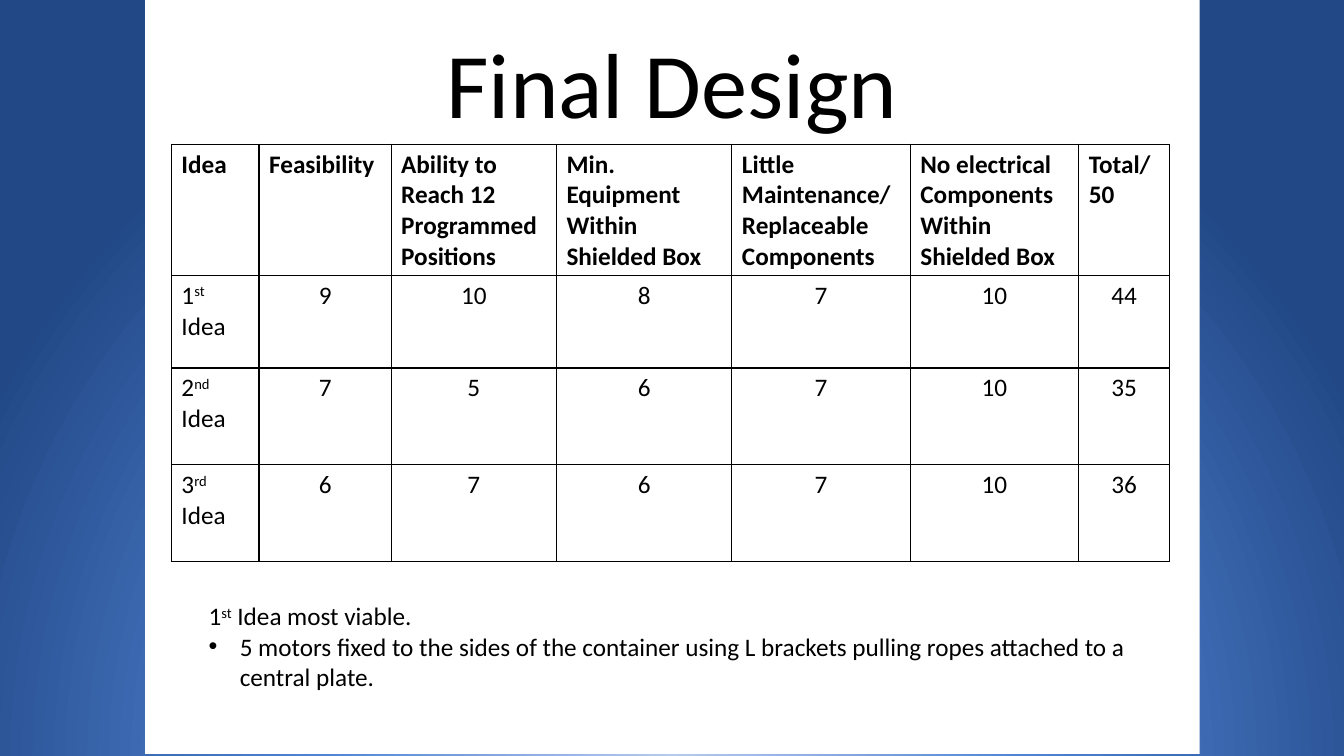
from dataclasses import dataclass

from pptx import Presentation
from pptx.dml.color import RGBColor as Rgb
from pptx.enum.shapes import MSO_SHAPE as Shape
from pptx.enum.text import PP_ALIGN as Align
from pptx.oxml import parse_xml
from pptx.oxml.ns import nsdecls, qn
from pptx.util import Pt

PX = 9144  # 100 px to the inch
INK = {"text": "000000", "panel": "FFFFFF", "line": "000000",
       "glow": "B5CAED", "mid": "5082D3", "edge": "224886"}


@dataclass
class Box:
    x: int
    y: int
    w: int
    h: int

    def emu(self) -> tuple:
        return tuple(v * PX for v in (self.x, self.y, self.w, self.h))


@dataclass
class Idea:
    rank: str
    suffix: str
    scores: tuple


PANEL = Box(144, -2, 1046, 750)
TITLE = Box(252, 21, 829, 121)
GRID = Box(170, 143, 990, 403)
NOTE = Box(197, 591, 940, 101)
COLS = (87, 131, 164, 174, 177, 167, 90)
ROWS = (119, 92, 96, 96)
HEADS = ("Idea", "Feasibility", "Ability to Reach 12 Programmed Positions",
         "Min. Equipment Within Shielded Box",
         "Little Maintenance/ Replaceable Components",
         "No electrical Components Within Shielded Box", "Total/50")
IDEAS = (Idea("1", "st", (9, 10, 8, 7, 10, 44)),
         Idea("2", "nd", (7, 5, 6, 7, 10, 35)),
         Idea("3", "rd", (6, 7, 6, 7, 10, 36)))


def style(para, size: int = 18, bold: bool = False, align=Align.LEFT) -> None:
    para.alignment = align
    for run in para.runs:
        font = run.font
        font.name, font.size, font.bold = "Calibri", Pt(size), bold
        font.color.rgb = Rgb.from_string(INK["text"])


def ordinal(para, idea: Idea, rest: str) -> None:
    """Write a rank with a raised suffix."""
    for text in (idea.rank, idea.suffix, rest):
        para.add_run().text = text
    style(para)
    para.runs[1].font._element.set("baseline", "30000")


def frame(slide, box: Box):
    text = slide.shapes.add_textbox(*box.emu()).text_frame
    text.word_wrap = True
    return text


def border(cell) -> None:
    props = cell._tc.get_or_add_tcPr()
    for side in "LRTB":
        props.append(parse_xml(
            f'<a:ln{side} {nsdecls("a")} w="12700"><a:solidFill>'
            f'<a:srgbClr val="{INK["line"]}"/></a:solidFill></a:ln{side}>'))
    cell.fill.background()


def backdrop(slide) -> None:
    slide.background.fill.gradient()
    old = slide._element.find(".//" + qn("a:gradFill"))
    stops = "".join(
        f'<a:gs pos="{pos * 1000}"><a:srgbClr val="{INK[name]}"/></a:gs>'
        for pos, name in ((0, "glow"), (46, "mid"), (100, "edge")))
    old.getparent().replace(old, parse_xml(
        f'<a:gradFill {nsdecls("a")} rotWithShape="1"><a:gsLst>{stops}</a:gsLst>'
        '<a:path path="circle"><a:fillToRect l="50000" t="130000" r="50000" '
        'b="-30000"/></a:path></a:gradFill>'))


def scores(slide) -> None:
    table = slide.shapes.add_table(len(ROWS), len(COLS), *GRID.emu()).table
    table.first_row = table.horz_banding = False
    for col, width in zip(table.columns, COLS):
        col.width = width * PX
    for row, height in zip(table.rows, ROWS):
        row.height = height * PX
    for cell in table.iter_cells():
        border(cell)
    for cell, head in zip(table.rows[0].cells, HEADS):
        cell.text_frame.text = head
        style(cell.text_frame.paragraphs[0], bold=True)
    for r, idea in enumerate(IDEAS, 1):
        ordinal(table.cell(r, 0).text_frame.paragraphs[0], idea, " Idea")
        for c, score in enumerate(idea.scores, 1):
            text = table.cell(r, c).text_frame
            text.text = str(score)
            style(text.paragraphs[0], align=Align.CENTER)


def note(slide) -> None:
    text = frame(slide, NOTE)
    ordinal(text.paragraphs[0], IDEAS[0], " Idea most viable.")
    item = text.add_paragraph()
    props = item._p.get_or_add_pPr()
    props.set("marL", str(31 * PX))
    props.set("indent", str(-31 * PX))
    props.append(parse_xml(f'<a:buFont {nsdecls("a")} typeface="Arial"/>'))
    props.append(parse_xml(f'<a:buChar {nsdecls("a")} char="•"/>'))
    item.text = ("5 motors fixed to the sides of the container using L brackets "
                 "pulling ropes attached to a central plate.")
    style(item)


def main() -> None:
    deck = Presentation()
    deck.slide_width, deck.slide_height = 1333 * PX, 750 * PX
    slide = deck.slides.add_slide(deck.slide_layouts[6])
    backdrop(slide)

    # White panel
    panel = slide.shapes.add_shape(Shape.RECTANGLE, *PANEL.emu())
    panel.shadow.inherit = False
    panel.fill.solid()
    panel.fill.fore_color.rgb = Rgb.from_string(INK["panel"])
    panel.line.fill.background()

    # Title
    title = frame(slide, TITLE)
    title.text = "Final Design"
    style(title.paragraphs[0], 66, align=Align.CENTER)

    # Conclusion and score table
    note(slide)
    scores(slide)
    deck.save("out.pptx")


if __name__ == "__main__":
    main()
